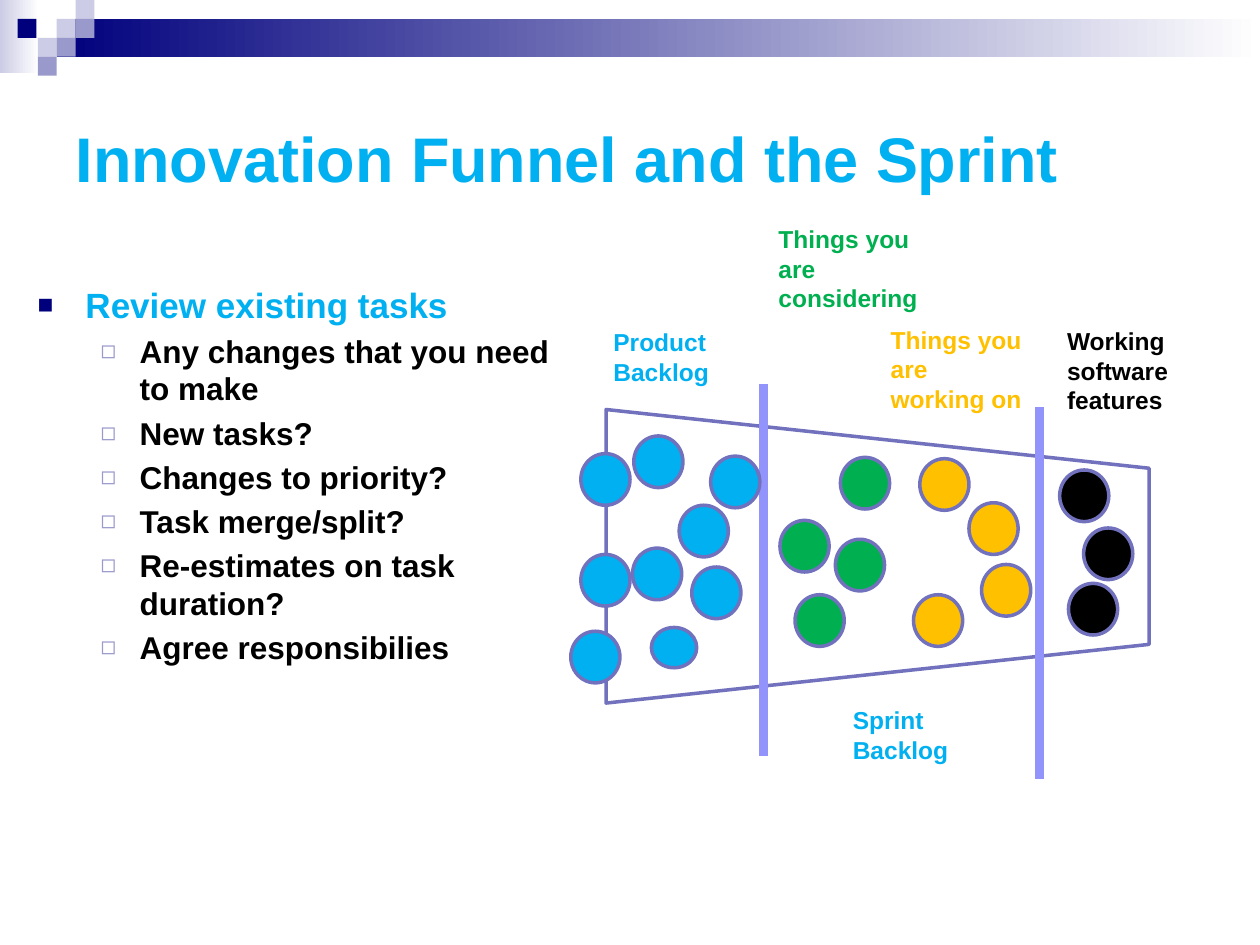
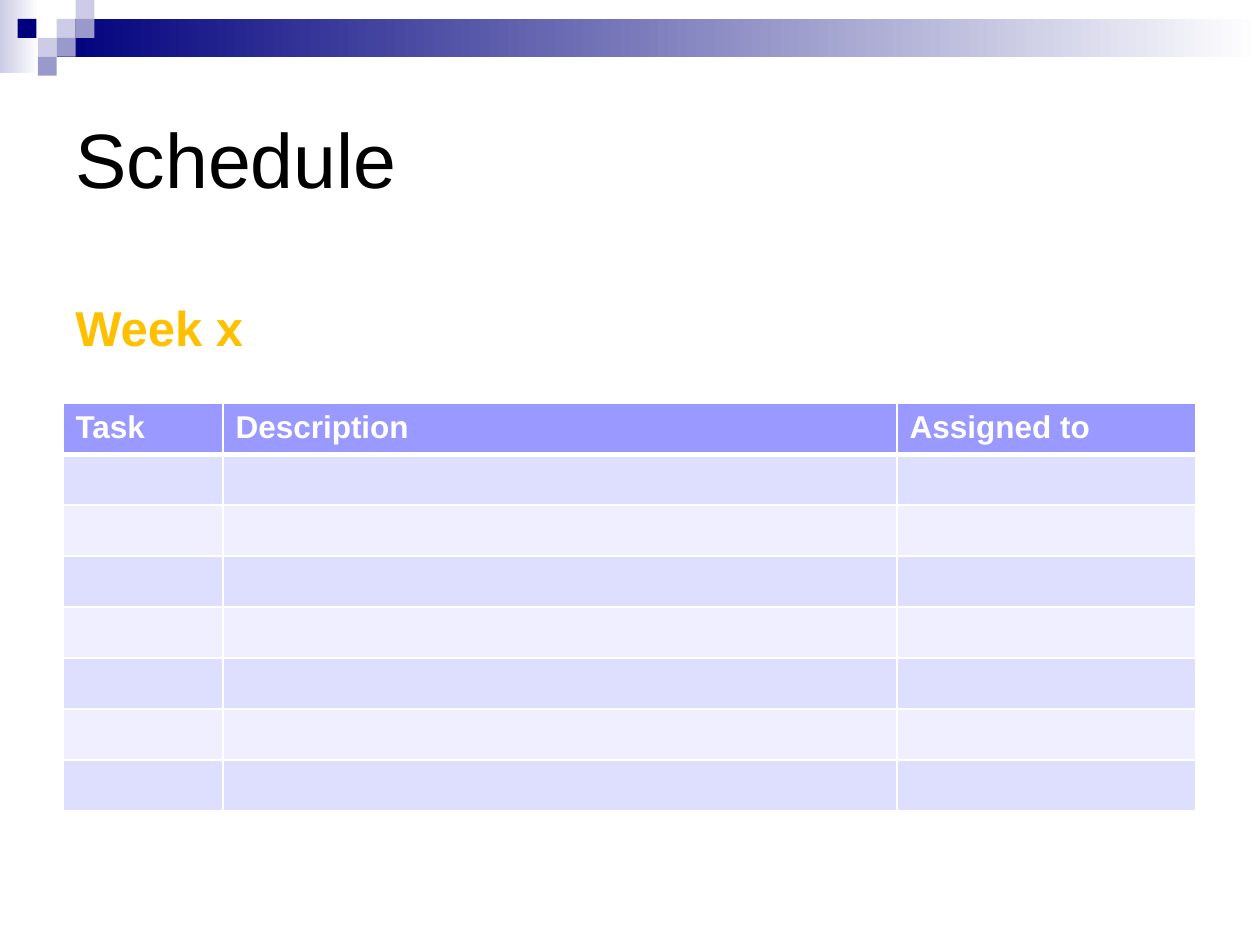
from lxml import etree
from pptx import Presentation
from pptx.dml.color import RGBColor
from pptx.enum.shapes import MSO_CONNECTOR, MSO_SHAPE
from pptx.enum.text import MSO_ANCHOR, MSO_AUTO_SIZE, PP_ALIGN
from pptx.oxml.ns import qn
from pptx.util import Inches, Pt

RECT = MSO_SHAPE.RECTANGLE
OVAL = MSO_SHAPE.OVAL
FUNNEL = MSO_SHAPE.FLOWCHART_MANUAL_OPERATION
LINE = MSO_CONNECTOR.STRAIGHT
LEFT = PP_ALIGN.LEFT
MIDDLE = MSO_ANCHOR.MIDDLE
GROW = MSO_AUTO_SIZE.SHAPE_TO_FIT_TEXT
FIXED = MSO_AUTO_SIZE.NONE

CELL = Inches(0.1)
STEP = 1.5
FONT = "Arial"
NAVY, MID, PALE = "00007D", "9999CC", "CCCCE6"
BLUE, GREEN, GOLD = "00B0F0", "00B050", "FFC000"
BLACK, WHITE = "000000", "FFFFFF"
EDGE, BAR = "7171BD", "9393FC"
HEAD, ODD, EVEN = "9999FF", "DEDEFF", "EFEFFF"
hue = RGBColor.from_string


def draw(slide, kind, box, fill=None, fade=None, edge=None):
    shape = slide.shapes.add_shape(kind, *[round(n * CELL) for n in box])
    shape.shadow.inherit = False
    if fade:
        shape.fill.gradient()
        shape.fill.gradient_angle = 0
        for stop, tone in zip(shape.fill.gradient_stops, (fill, fade)):
            stop.color.rgb = hue(tone)
    elif fill:
        shape.fill.solid()
        shape.fill.fore_color.rgb = hue(fill)
    else:
        shape.fill.background()
    if edge:
        shape.line.color.rgb = hue(edge)
        shape.line.width = Pt(2)
    else:
        shape.line.fill.background()
    return shape


def write(frame, text, size=14, tone=BLACK, bold=True, mark=None):
    for row, words in enumerate(text.split("\n")):
        para = frame.paragraphs[0]
        if para.runs:
            para = frame.add_paragraph()
        para.alignment = LEFT
        run = para.add_run()
        run.text = words
        run.font.name = FONT
        run.font.size = Pt(size)
        run.font.bold = bold
        run.font.color.rgb = hue(tone)
        if mark:
            char, ink, share, left, hang = mark
            para.space_before = Pt(size * 0.2)
            props = para._p.get_or_add_pPr()
            props.set("marL", str(Inches(left)))
            props.set("indent", str(-Inches(hang)))
            color = etree.SubElement(props, qn("a:buClr"))
            etree.SubElement(color, qn("a:srgbClr"), val=ink)
            etree.SubElement(props, qn("a:buSzPct"), val=str(share * 1000))
            etree.SubElement(props, qn("a:buFont"), typeface=FONT)
            etree.SubElement(props, qn("a:buChar"), char=char)


deck = Presentation()
deck.slide_width = 100 * CELL
deck.slide_height = 75 * CELL

squares = [
    (3, 1, PALE), (4, 0, PALE), (4, 1, MID), (2, 2, PALE),
    (0.93, 1, NAVY), (3, 2, MID), (2, 3, MID),
]
titles = [
    ("Innovation Funnel and the Sprint", 36, BLUE, True),
    ("Schedule", 44, BLACK, False),
]
for text, size, tone, bold in titles:
    slide = deck.slides.add_slide(deck.slide_layouts[5])
    draw(slide, RECT, (0, 0, 3.1, 5.8), PALE, fade=WHITE)
    draw(slide, RECT, (4.5, STEP, 95.5, 2 * STEP), NAVY, fade=WHITE)
    for col, row, fill in squares:
        draw(slide, RECT, (col * STEP, row * STEP, STEP, STEP), fill)
    title = slide.shapes.title
    title.left, title.top = 5 * CELL, 5 * CELL
    title.width, title.height = 90 * CELL, 15 * CELL
    title.text_frame.auto_size = FIXED
    title.text_frame.vertical_anchor = MIDDLE
    write(title.text_frame, text, size=size, tone=tone, bold=bold)

sprint, plan = deck.slides

body = sprint.shapes.add_textbox(*[round(n * CELL) for n in (2, 22, 43.1, 40.6)])
body.text_frame.word_wrap = True
write(body.text_frame, "Review existing tasks", size=20, tone=BLUE,
      mark=("■", NAVY, 75, 0.38, 0.38))
tasks = """Any changes that you need to make
New tasks?
Changes to priority?
Task merge/split?
Re-estimates on task duration?
Agree responsibilies"""
write(body.text_frame, tasks, size=18, mark=("◻", MID, 80, 0.81, 0.31))

draw(sprint, FUNNEL, (58, 22.6, 23.3, 43.1), edge=EDGE).rotation = 270

for x, low in [(82.5, 61.8), (60.6, 60)]:
    ends = [round(n * CELL) for n in (x, low, x, low - 29.5)]
    bar = sprint.shapes.add_connector(LINE, *ends)
    bar.line.color.rgb = hue(BAR)
    bar.line.width = Pt(5)
    etree.SubElement(bar._element.spPr, qn("a:effectLst"))

balls = {
    BLUE: [(46.1, 36), (45.3, 50.1), (46.1, 44), (56.4, 36.2), (54.9, 45),
           (50.2, 43.5), (53.9, 40.1), (50.3, 34.6)],
    GREEN: [(66.7, 36.3), (61.9, 41.3), (66.3, 42.8), (63.1, 47.2)],
    GOLD: [(73, 36.4), (76.9, 39.9), (77.9, 44.8), (72.5, 47.2)],
    BLACK: [(86, 41.9), (84.1, 37.3), (84.8, 46.3)],
}
for fill, spots in balls.items():
    for x, y in spots:
        draw(sprint, OVAL, (x, y, 3.9, 4.1), fill, edge=EDGE)
draw(sprint, OVAL, (51.7, 49.8, 3.6, 3.2), BLUE, edge=EDGE)

labels = [
    (sprint, "Product\nBacklog", (47.7, 25.5, 11.3, 5.7), 14, BLUE),
    (sprint, "Things you are considering", (60.8, 17.3, 13.1, 8.1), 14, GREEN),
    (sprint, "Things you are working on", (69.7, 25.3, 12.8, 8.1), 14, GOLD),
    (sprint, "Working software features", (83.7, 25.4, 13.1, 8.1), 14, BLACK),
    (sprint, "Sprint\nBacklog", (66.7, 55.5, 11.3, 5.7), 14, BLUE),
    (plan, "Week x", (5, 23.1, 15.5, 5.7), 28, GOLD),
]
for slide, text, box, size, tone in labels:
    label = slide.shapes.add_textbox(*[round(n * CELL) for n in box])
    label.text_frame.word_wrap = slide is sprint
    label.text_frame.auto_size = GROW
    write(label.text_frame, text, size=size, tone=tone)

heads = ["Task", "Description", "Assigned to"]
spans = [12.7, 53.5, 23.7]
box = [round(n * CELL) for n in (5, 32, sum(spans), 32.4)]
table = plan.shapes.add_table(8, len(heads), *box).table
for col, span in zip(table.columns, spans):
    col.width = round(span * CELL)
for row, line in enumerate(table.rows):
    for col, cell in enumerate(line.cells):
        props = cell._tc.get_or_add_tcPr()
        for side in ("lnL", "lnR", "lnT", "lnB"):
            thick = (row == 0 and side == "lnB") or (row == 1 and side == "lnT")
            rule = etree.SubElement(props, qn("a:" + side), w=str(Pt(3 if thick else 1)))
            fill = etree.SubElement(rule, qn("a:solidFill"))
            etree.SubElement(fill, qn("a:srgbClr"), val=WHITE)
        cell.fill.solid()
        cell.fill.fore_color.rgb = hue(HEAD if row == 0 else ODD if row % 2 else EVEN)
        if row == 0:
            write(cell.text_frame, heads[col], size=18, tone=WHITE)

deck.save("out.pptx")
